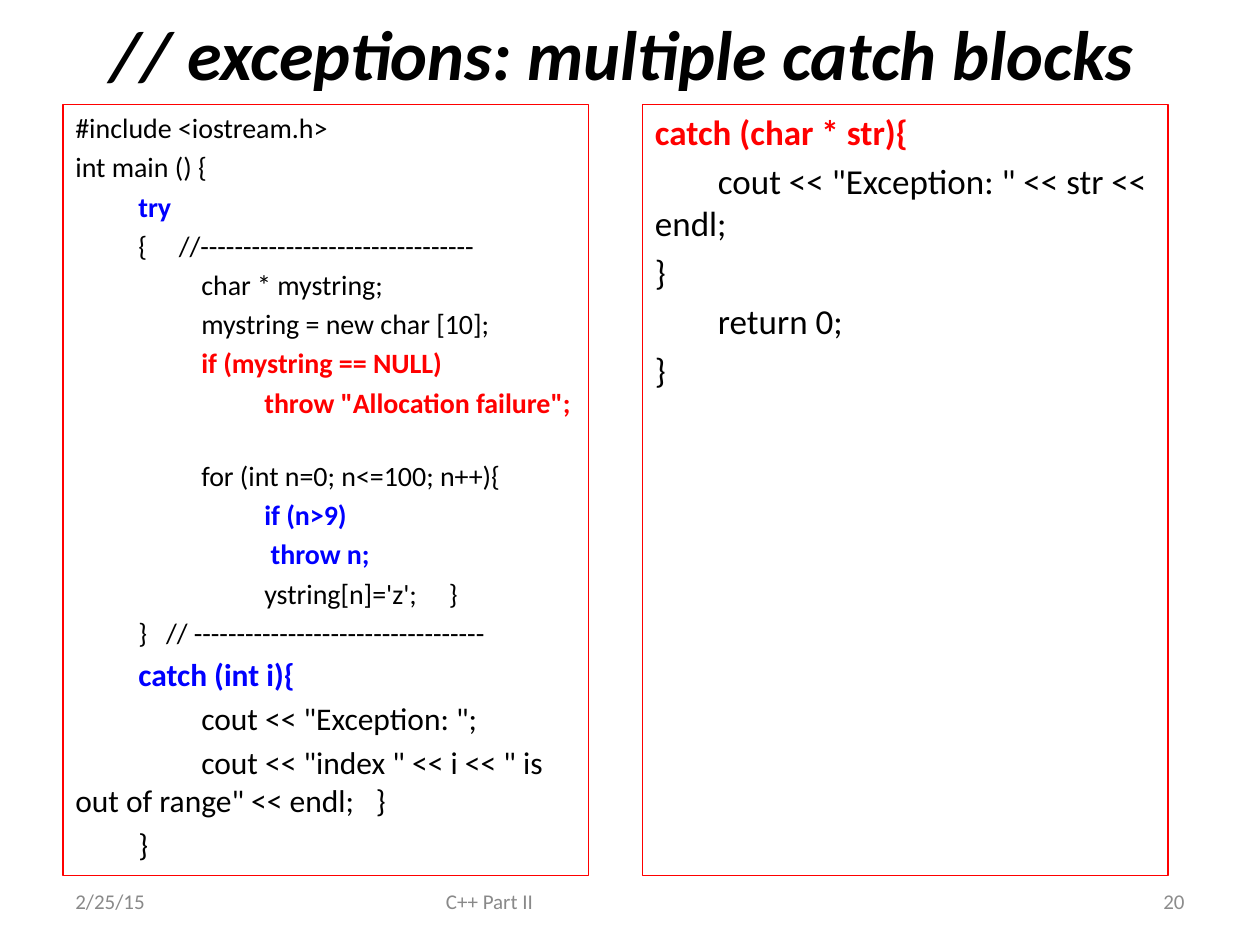
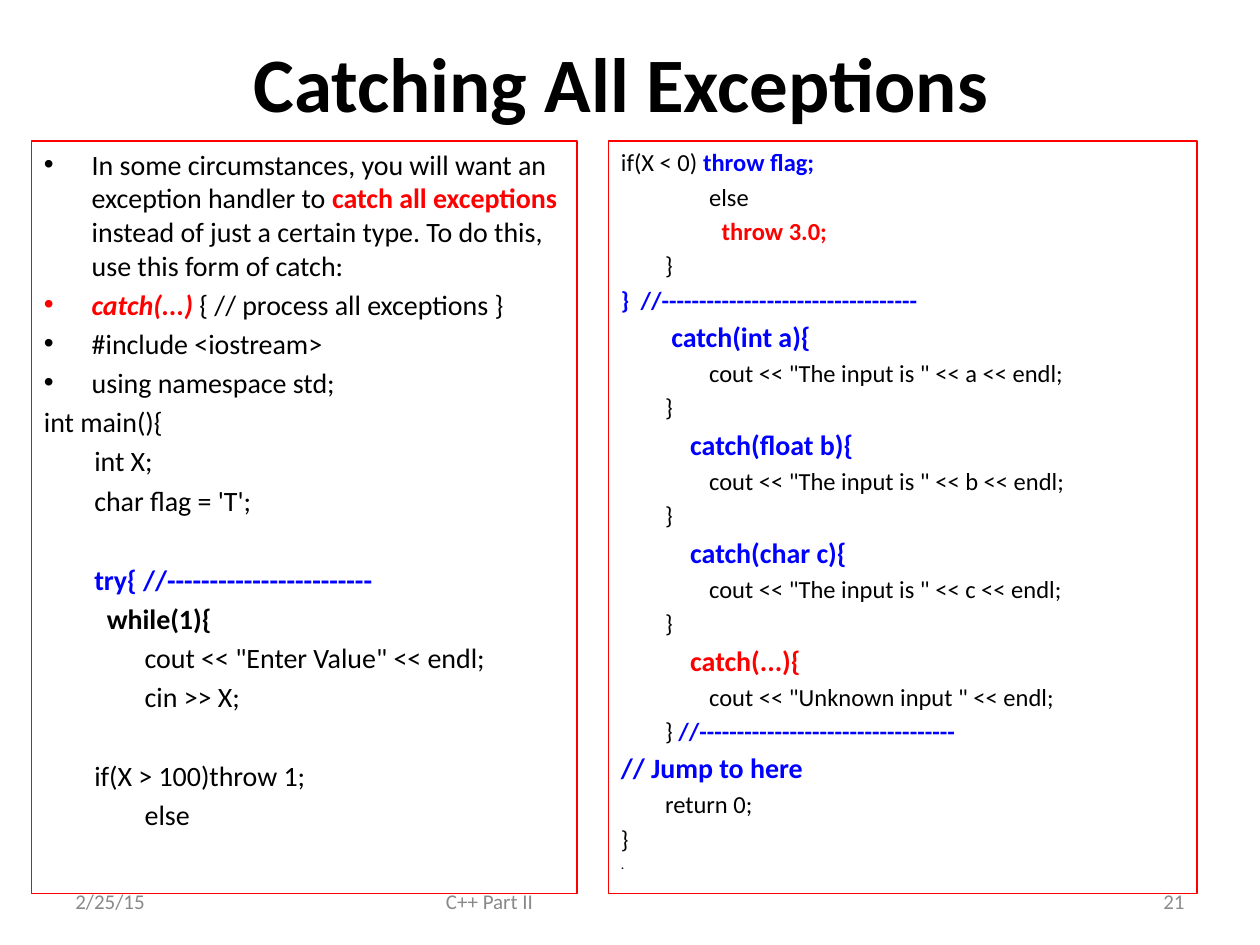
import dataclasses
import typing

import lxml.etree
import pptx
import pptx.dml.color
import pptx.enum.shapes
import pptx.enum.text
import pptx.oxml.ns
import pptx.util

EMU_PER_PX = 9144
ALIGN = pptx.enum.text.PP_ALIGN
ANCHOR = pptx.enum.text.MSO_ANCHOR


@dataclasses.dataclass(frozen=True)
class Theme:
    font: str = "Calibri"
    black: str = "000000"
    red: str = "FF0000"
    blue: str = "0000FF"
    date_gray: str = "898989"
    number_gray: str = "8C8C8C"
    tiny: int = 8
    footer: int = 12
    small: int = 14
    body: int = 16
    medium: int = 18
    large: int = 20
    code_title: int = 40
    title: int = 44
    border_points: float = 0.75
    space_ratio: float = 0.2
    line_ratio: float = 1.22
    bullet_indent: int = 38


THEME = Theme()


class Box(typing.NamedTuple):
    left: int
    top: int
    width: int
    height: int


@dataclasses.dataclass(frozen=True)
class Run:
    text: str
    color: str = THEME.black
    bold: bool = False
    italic: bool = False
    tracking_points: float = 0


@dataclasses.dataclass(frozen=True)
class Line:
    indent: int
    runs: tuple[Run, ...]
    size: int = THEME.body
    space_before: float | None = None
    bullet: bool = False


@dataclasses.dataclass(frozen=True)
class Panel:
    box: Box
    lines: list[Line]


@dataclasses.dataclass(frozen=True)
class CodeSlide:
    title: Run
    title_size: int
    title_box: Box
    number: str
    panels: tuple[Panel, ...]


class FooterPart(typing.NamedTuple):
    box: Box
    color: str
    alignment: ALIGN


DATE_PART = FooterPart(Box(50, 695, 233, 40), THEME.date_gray, ALIGN.LEFT)
NAME_PART = FooterPart(Box(344, 695, 315, 40), THEME.date_gray, ALIGN.LEFT)
NUMBER_PART = FooterPart(Box(717, 695, 233, 40), THEME.number_gray, ALIGN.RIGHT)


def px(value: int) -> int:
    return pptx.util.Emu(value * EMU_PER_PX)


def rgb(value: str) -> pptx.dml.color.RGBColor:
    return pptx.dml.color.RGBColor.from_string(value)


def plain(text: str) -> Run:
    return Run(text)


def blue(text: str) -> Run:
    return Run(text, THEME.blue, True)


def red(text: str, italic: bool = False) -> Run:
    return Run(text, THEME.red, True, italic)


def gap(tracking_points: float) -> Run:
    return Run(" ", tracking_points=tracking_points)


def code(indent: int, *runs: str | Run, **options) -> Line:
    styled = tuple(plain(run) if isinstance(run, str) else run for run in runs)
    return Line(indent, styled, **options)


def small(indent: int, *runs: str | Run) -> Line:
    return code(indent, *runs, size=THEME.small)


def bullet(*runs: str | Run) -> Line:
    return code(0, *runs, bullet=True)


def handler(indent: int, kind: str, name: str) -> list[Line]:
    return [
        code(indent, blue(f"catch({kind} {name}){{")),
        small(70, f'cout << "The input is " << {name} << endl;'),
        small(35, "}"),
    ]


def apply_format(target: typing.Any, values: dict[str, typing.Any]) -> None:
    for name, value in values.items():
        setattr(target, name, value)


def set_paragraph_layout(paragraph, line: Line) -> None:
    properties = paragraph._p.get_or_add_pPr()
    margin, indent = 0, line.indent
    if line.bullet:
        margin, indent = THEME.bullet_indent, -THEME.bullet_indent
    properties.set("marL", str(px(margin)))
    properties.set("indent", str(px(indent)))
    name = pptx.oxml.ns.qn
    if line.bullet:
        lxml.etree.SubElement(properties, name("a:buFont")).set("typeface", "Arial")
        lxml.etree.SubElement(properties, name("a:buChar")).set("char", "•")
    else:
        lxml.etree.SubElement(properties, name("a:buNone"))


def add_run(paragraph, run: Run, size: int) -> None:
    text_run = paragraph.add_run()
    text_run.text = run.text
    apply_format(text_run.font, {
        "name": THEME.font,
        "size": pptx.util.Pt(size),
        "bold": run.bold,
        "italic": run.italic,
    })
    text_run.font.color.rgb = rgb(run.color)
    if run.tracking_points:
        text_run._r.get_or_add_rPr().set("spc", str(round(run.tracking_points * 100)))


def add_label(slide, box: Box, run: Run, size: int, alignment: ALIGN) -> None:
    shape = slide.shapes.add_textbox(*map(px, box))
    apply_format(shape.text_frame, {"word_wrap": True, "vertical_anchor": ANCHOR.MIDDLE})
    paragraph = shape.text_frame.paragraphs[0]
    paragraph.alignment = alignment
    add_run(paragraph, run, size)


def add_panel(slide, panel: Panel) -> None:
    shape = slide.shapes.add_shape(
        pptx.enum.shapes.MSO_SHAPE.RECTANGLE, *map(px, panel.box)
    )
    shape.shadow.inherit = False
    shape.fill.background()
    shape.line.color.rgb = rgb(THEME.red)
    shape.line.width = pptx.util.Pt(THEME.border_points)
    frame = shape.text_frame
    apply_format(frame, {"word_wrap": True, "vertical_anchor": ANCHOR.TOP})
    for index, line in enumerate(panel.lines):
        paragraph = frame.add_paragraph() if index else frame.paragraphs[0]
        space = line.space_before
        if space is None:
            space = line.size * THEME.space_ratio
        set_paragraph_layout(paragraph, line)
        apply_format(paragraph, {
            "alignment": ALIGN.LEFT,
            "space_before": pptx.util.Pt(space),
        })
        for run in line.runs:
            add_run(paragraph, run, line.size)


def add_code_slide(presentation, content: CodeSlide) -> None:
    slide = presentation.slides.add_slide(presentation.slide_layouts[6])
    add_label(slide, content.title_box, content.title, content.title_size, ALIGN.CENTER)
    for panel in content.panels:
        add_panel(slide, panel)
    footer_texts = ("2/25/15", "C++ Part II", content.number)
    for part, text in zip((DATE_PART, NAME_PART, NUMBER_PART), footer_texts):
        add_label(slide, part.box, Run(text, part.color), THEME.footer, part.alignment)


BREAK_SPACE = THEME.body * (THEME.line_ratio + THEME.space_ratio)
EMPTY_LINE_SPACE = BREAK_SPACE + THEME.body * THEME.space_ratio

ALLOCATION_CODE = [
    code(0, "#include <iostream.h>"),
    code(0, "int main () {"),
    code(50, blue("try")),
    code(50, "{", gap(14.5), "//--------------------------------"),
    code(100, "char * mystring;"),
    code(100, "mystring = new char [10];"),
    code(100, red("if (mystring == NULL)")),
    code(150, red('throw "Allocation failure";')),
    code(100, "for (int n=0; n<=100; n++){", space_before=BREAK_SPACE),
    code(150, blue("if (n>9)")),
    code(155, blue("throw n;")),
    code(150, "ystring[n]='z';", gap(14.5), "}"),
    code(50, "}", gap(7.2), "// ----------------------------------"),
    code(50, blue("catch (int i){"), size=THEME.medium),
    code(100, 'cout << "Exception: ";', size=THEME.medium),
    code(100, 'cout << "index " << i << " is out of range" << endl;', gap(8.1), "}",
         size=THEME.medium),
    code(50, "}", size=THEME.medium),
]

STRING_HANDLER_CODE = [
    code(0, red("catch (char * str){"), size=THEME.large),
    code(50, 'cout << "Exception: " << str << endl;', size=THEME.large),
    code(0, "}", size=THEME.large),
    code(50, "return 0;", size=THEME.large),
    code(0, "}", size=THEME.large),
]

CATCH_ALL_INTRODUCTION = [
    bullet("In some circumstances, you will want an exception handler to ",
           red("catch all exceptions "),
           "instead of just a certain type. To do this, use this form of catch:"),
    bullet(red("catch(...)", italic=True), " { // process all exceptions }"),
    bullet("#include <iostream>"),
    bullet("using namespace std;"),
    code(0, "int main(){"),
    code(40, "int X;"),
    code(40, "char flag = 'T';"),
    code(40, blue("try{ //------------------------"), space_before=EMPTY_LINE_SPACE),
    code(50, Run("while(1){", bold=True)),
    code(80, 'cout << "Enter Value" << endl;'),
    code(80, "cin >> X;"),
    code(40, "if(X > 100)throw 1;", space_before=EMPTY_LINE_SPACE),
    code(80, "else"),
]

CATCH_ALL_HANDLERS = [
    small(0, "if(X < 0) ", blue("throw flag;")),
    small(70, "else"),
    small(80, red("throw 3.0;")),
    small(35, "}"),
    small(0, blue("}"), gap(3.2), blue("//----------------------------------")),
    *handler(40, "int", "a"),
    *handler(55, "float", "b"),
    *handler(55, "char", "c"),
    code(55, red("catch(...){")),
    small(70, 'cout << "Unknown input " << endl;'),
    small(35, "} ", blue("//----------------------------------")),
    code(0, blue("// Jump to here")),
    small(35, "return 0;"),
    small(0, "}"),
    code(0, ".", size=THEME.tiny),
]

SLIDES = (
    CodeSlide(
        Run("// exceptions: multiple catch blocks ", bold=True, italic=True),
        THEME.code_title, Box(50, 0, 900, 83), "20",
        (Panel(Box(50, 83, 417, 612), ALLOCATION_CODE),
         Panel(Box(510, 83, 417, 612), STRING_HANDLER_CODE)),
    ),
    CodeSlide(
        Run("Catching All Exceptions ", bold=True),
        THEME.title, Box(50, 17, 900, 95), "21",
        (Panel(Box(25, 112, 433, 597), CATCH_ALL_INTRODUCTION),
         Panel(Box(483, 112, 467, 597), CATCH_ALL_HANDLERS)),
    ),
)


def main() -> None:
    presentation = pptx.Presentation()
    apply_format(presentation, {"slide_width": px(1000), "slide_height": px(750)})
    for content in SLIDES:
        add_code_slide(presentation, content)
    presentation.save("out.pptx")


if __name__ == "__main__":
    main()
